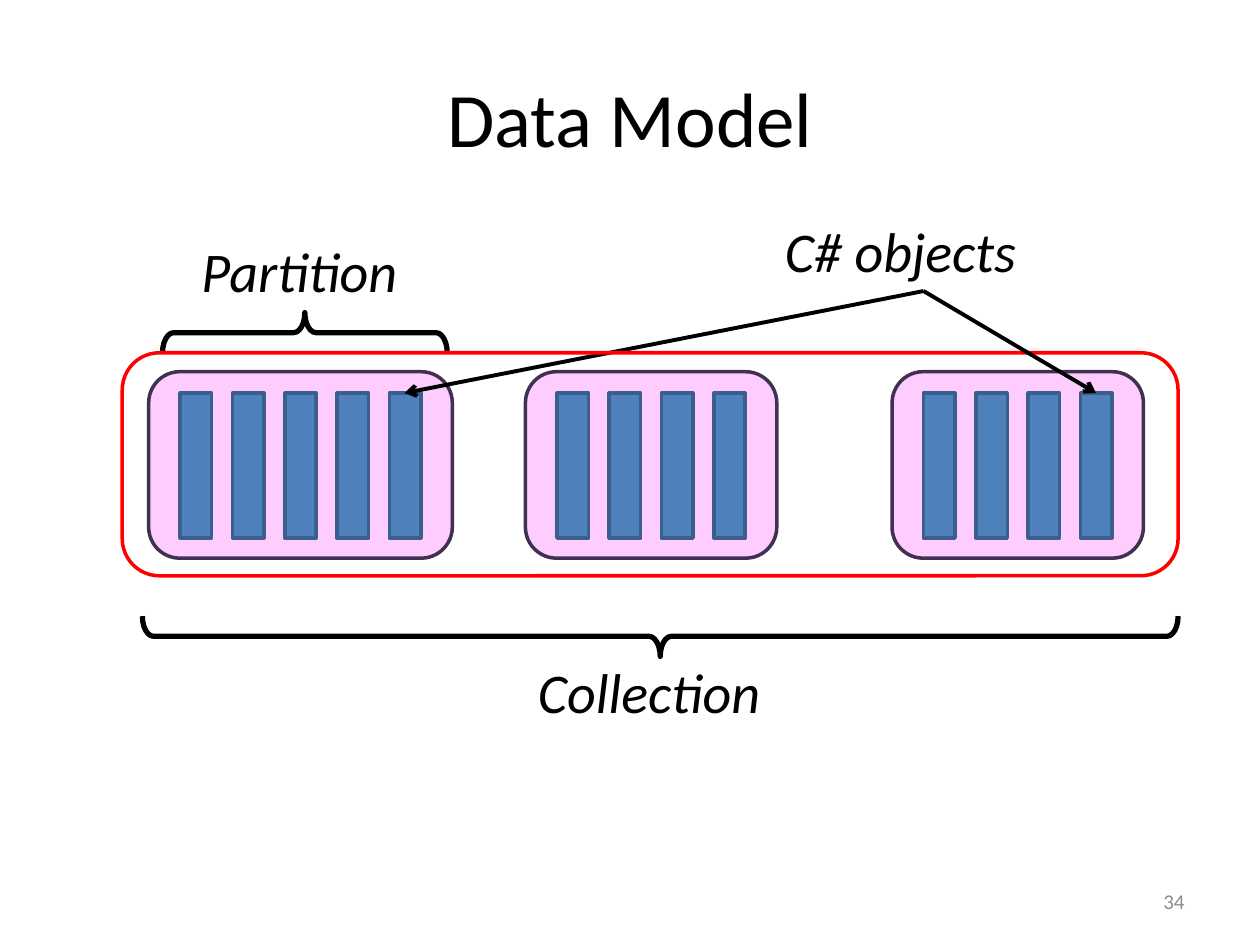
from pptx import Presentation
from pptx.dml.color import RGBColor
from pptx.enum.shapes import MSO_CONNECTOR, MSO_SHAPE
from pptx.enum.text import MSO_ANCHOR, MSO_AUTO_SIZE, PP_ALIGN
from pptx.oxml.ns import qn
from pptx.util import Inches, Pt
from lxml import etree

FONT = "Calibri"
BLACK, GREY, RED = "000000", "8C8C8C", "FF0000"
PINK, PURPLE = "FFCCFF", "403152"
BLUE, DARK_BLUE = "4F81BD", "3A5F8C"

OBJECT_TOP, OBJECT_WIDTH, OBJECT_HEIGHT = 3.12, 0.25, 1.15
OBJECT_PITCH = 0.415
PARTITION_PADDING = 0.25


def color(hex_string):
    return RGBColor.from_string(hex_string)


def add_text(slide, text, box, size, text_color=BLACK, italic=False,
             align=PP_ALIGN.LEFT, anchor=MSO_ANCHOR.TOP, wrap=True, grow=False):
    label = slide.shapes.add_textbox(*map(Inches, box))
    frame = label.text_frame
    frame.word_wrap = wrap
    frame.auto_size = MSO_AUTO_SIZE.SHAPE_TO_FIT_TEXT if grow else MSO_AUTO_SIZE.NONE
    frame.vertical_anchor = anchor
    frame.text = text
    paragraph = frame.paragraphs[0]
    paragraph.alignment = align
    font = paragraph.runs[0].font
    font.name, font.size, font.italic = FONT, Pt(size), italic
    font.color.rgb = color(text_color)


def add_label(slide, text, box, wrap=False):
    add_text(slide, text, box, 32, italic=True, wrap=wrap, grow=True)


def add_box(slide, preset, box, line, width=2, fill=None):
    shape = slide.shapes.add_shape(preset, *map(Inches, box))
    shape.shadow.inherit = False
    if fill:
        shape.fill.solid()
        shape.fill.fore_color.rgb = color(fill)
    else:
        shape.fill.background()
    shape.line.color.rgb = color(line)
    shape.line.width = Pt(width)
    return shape


def add_brace(slide, preset, box):
    brace = add_box(slide, preset, box, BLACK, width=3)
    brace.rotation = 270
    brace.adjustments[0] = 0.278
    brace.adjustments[1] = 0.5


def add_partition(slide, left, object_count):
    width = 2 * PARTITION_PADDING + OBJECT_WIDTH + (object_count - 1) * OBJECT_PITCH
    add_box(slide, MSO_SHAPE.ROUNDED_RECTANGLE, (left, 2.95, width, 1.48),
            PURPLE, fill=PINK)
    for index in range(object_count):
        object_left = left + PARTITION_PADDING + index * OBJECT_PITCH
        add_box(slide, MSO_SHAPE.RECTANGLE,
                (object_left, OBJECT_TOP, OBJECT_WIDTH, OBJECT_HEIGHT),
                DARK_BLUE, fill=BLUE)


def add_arrow(slide, start, end):
    arrow = slide.shapes.add_connector(MSO_CONNECTOR.STRAIGHT,
                                       *map(Inches, start + end))
    arrow.line.color.rgb = color(BLACK)
    arrow.line.width = Pt(2.25)
    properties = arrow.element.spPr
    etree.SubElement(properties.find(qn("a:ln")), qn("a:tailEnd"), type="arrow")
    etree.SubElement(properties, qn("a:effectLst"))


def main():
    presentation = Presentation()
    presentation.slide_width, presentation.slide_height = Inches(10), Inches(7.5)
    slide = presentation.slides.add_slide(presentation.slide_layouts[6])

    # Title and slide number
    add_text(slide, "Data Model", (0.5, 0.3, 9, 1.25), 44,
             align=PP_ALIGN.CENTER, anchor=MSO_ANCHOR.MIDDLE)
    add_text(slide, "34", (7.17, 6.95, 2.33, 0.4), 12, GREY,
             align=PP_ALIGN.RIGHT, anchor=MSO_ANCHOR.MIDDLE)

    # Partitions with their objects
    for left, object_count in ((1.18, 5), (4.17, 4), (7.08, 4)):
        add_partition(slide, left, object_count)

    # Braces and labels
    add_label(slide, "Partition", (1.5, 1.83, 1.78, 0.64))
    add_brace(slide, MSO_SHAPE.RIGHT_BRACE, (2.26, 1.51, 0.32, 2.26))
    add_label(slide, "Collection", (4.17, 5.17, 1.99, 0.64))
    add_brace(slide, MSO_SHAPE.LEFT_BRACE, (5.08, 0.94, 0.32, 8.22))
    add_label(slide, "C# objects", (6.13, 1.67, 2.41, 0.64), wrap=True)

    # Collection outline between the two object arrows
    arrow_start = (7.33, 2.31)
    add_arrow(slide, arrow_start, (3.21, OBJECT_TOP))
    add_box(slide, MSO_SHAPE.ROUNDED_RECTANGLE, (0.97, 2.8, 8.38, 1.77), RED)
    add_arrow(slide, arrow_start, (8.7, OBJECT_TOP))

    presentation.save("out.pptx")


if __name__ == "__main__":
    main()
